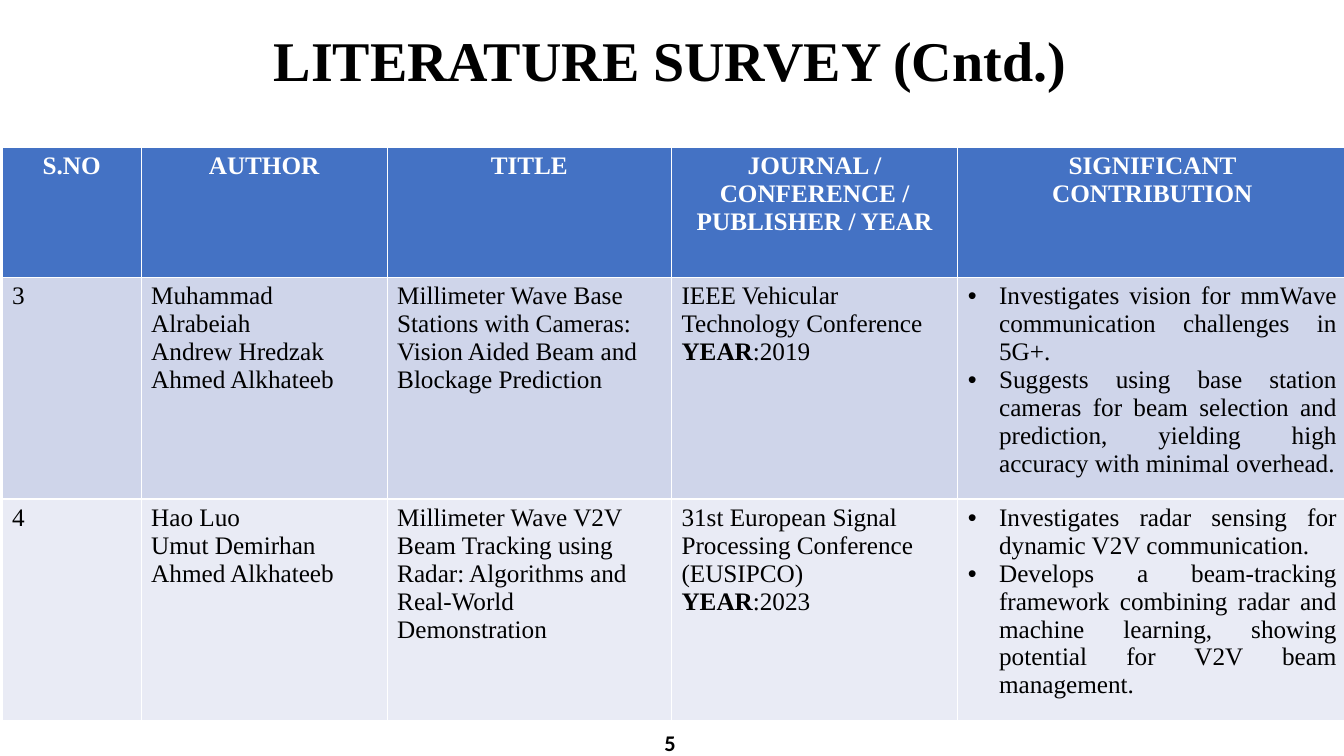
from lxml import etree
from pptx import Presentation
from pptx.dml.color import RGBColor
from pptx.enum import text as te
from pptx.oxml import ns
from pptx.util import Inches, Pt

COLORS = {
    "ink": "000000",
    "header_ink": "FFFFFF",
    "header": "4472C4",
    "odd_row": "CFD5EA",
    "even_row": "E9EBF5",
}
SERIF = "Times New Roman"
COLUMN_WIDTHS = [1.38, 2.44, 2.82, 2.84, 3.86]
ROW_HEIGHTS = [1.29, 2.2, 2.2]
CONTRIBUTION = 4  # bulleted column

HEADINGS = ["S.NO", "AUTHOR", "TITLE", "JOURNAL / CONFERENCE / PUBLISHER / YEAR",
            "SIGNIFICANT CONTRIBUTION"]
# Each cell is a list of paragraphs; text between asterisks is bold
PAPERS = [
    [
        ["3"],
        ["Muhammad Alrabeiah", "Andrew Hredzak Ahmed Alkhateeb"],
        ["Millimeter Wave Base Stations with Cameras: Vision Aided Beam and "
         "Blockage Prediction"],
        ["IEEE Vehicular Technology Conference *YEAR*:2019"],
        ["Investigates vision for mmWave communication challenges in 5G+.",
         "Suggests using base station cameras for beam selection and prediction, "
         "yielding high accuracy with minimal overhead."],
    ],
    [
        ["4"],
        ["Hao Luo", "Umut Demirhan", "Ahmed Alkhateeb"],
        ["Millimeter Wave V2V Beam Tracking using Radar: Algorithms and "
         "Real-World Demonstration"],
        ["31st European Signal Processing Conference (EUSIPCO)", "*YEAR*:2023"],
        ["Investigates radar sensing for dynamic V2V communication.",
         "Develops a beam-tracking framework combining radar and machine learning, "
         "showing potential for V2V beam management."],
    ],
]


def color(name):
    return RGBColor.from_string(COLORS[name])


def style_paragraph(paragraph, align, size, ink="ink", face=SERIF, bold=None):
    paragraph.alignment = align
    font = paragraph.font
    font.name, font.size, font.bold = face, Pt(size), bold
    font.color.rgb = color(ink)


def add_bullet(paragraph):
    properties = paragraph._p.get_or_add_pPr()
    properties.set("marL", str(Inches(0.31)))
    properties.set("indent", str(-Inches(0.31)))
    etree.SubElement(properties, ns.qn("a:buFont"), typeface="Arial")
    etree.SubElement(properties, ns.qn("a:buChar"), char="•")


def fill_cell(cell, lines, fill, align, ink="ink", bold=None, bulleted=False):
    cell.fill.solid()
    cell.fill.fore_color.rgb = color(fill)
    frame = cell.text_frame
    for number, line in enumerate(lines):
        paragraph = frame.add_paragraph() if number else frame.paragraphs[0]
        if bulleted:
            add_bullet(paragraph)
        style_paragraph(paragraph, align, 18, ink, bold=bold)
        for part, words in enumerate(line.split("*")):
            if words:
                run = paragraph.add_run()
                run.text = words
                if part % 2:
                    run.font.bold = True


def add_title(slide, words):
    title = slide.shapes.title
    title.left, title.top = Inches(-0.02), Inches(0.2)
    title.width, title.height = Inches(13.33), Inches(0.77)
    frame = title.text_frame
    frame.text = words
    frame.auto_size = te.MSO_AUTO_SIZE.NONE
    frame.vertical_anchor = te.MSO_ANCHOR.TOP
    style_paragraph(frame.paragraphs[0], te.PP_ALIGN.CENTER, 40, bold=True)


def add_page_number(slide, number):
    frame = slide.shapes.add_textbox(
        Inches(-0.02), Inches(7.23), Inches(13.33), Inches(0.27)).text_frame
    frame.word_wrap = True
    frame.vertical_anchor = te.MSO_ANCHOR.MIDDLE
    frame.text = number
    style_paragraph(frame.paragraphs[0], te.PP_ALIGN.CENTER, 16, face="Calibri", bold=True)


def add_survey(slide):
    survey = slide.shapes.add_table(
        len(ROW_HEIGHTS), len(COLUMN_WIDTHS), Inches(0.02), Inches(1.46),
        Inches(sum(COLUMN_WIDTHS)), Inches(sum(ROW_HEIGHTS))).table
    for column, width in zip(survey.columns, COLUMN_WIDTHS):
        column.width = Inches(width)
    for row, height in zip(survey.rows, ROW_HEIGHTS):
        row.height = Inches(height)

    # Header row
    for column, heading in enumerate(HEADINGS):
        fill_cell(survey.cell(0, column), [heading], "header",
                  te.PP_ALIGN.CENTER, "header_ink", bold=True)

    # One row per paper
    for row, paper in enumerate(PAPERS, start=1):
        fill = "odd_row" if row % 2 else "even_row"
        for column, lines in enumerate(paper):
            bulleted = column == CONTRIBUTION
            align = te.PP_ALIGN.JUSTIFY if bulleted else te.PP_ALIGN.LEFT
            fill_cell(survey.cell(row, column), lines, fill, align, bulleted=bulleted)


def main():
    deck = Presentation()
    deck.slide_width, deck.slide_height = Inches(13.33), Inches(7.5)
    slide = deck.slides.add_slide(deck.slide_layouts[5])
    add_page_number(slide, "5")
    add_title(slide, "LITERATURE SURVEY (Cntd.)")
    add_survey(slide)
    deck.save("out.pptx")


if __name__ == "__main__":
    main()
